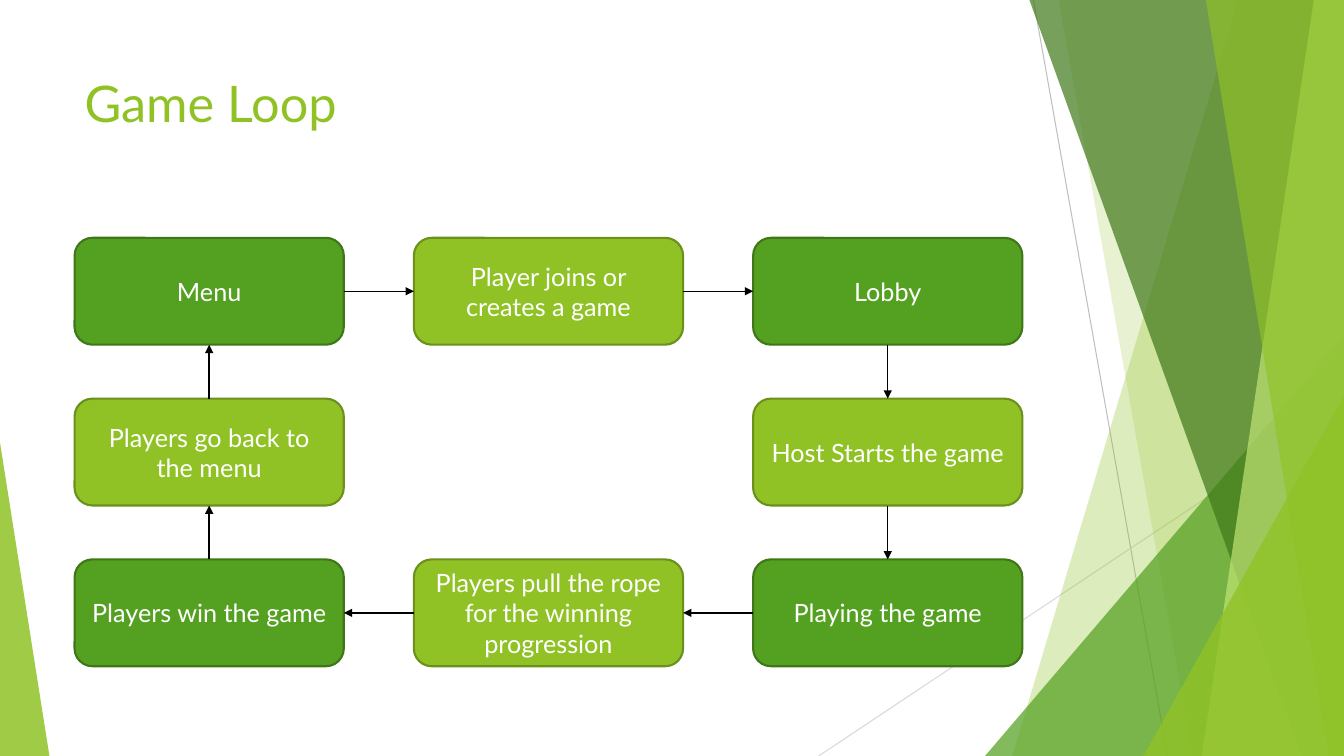
"""Build the Game Loop slide: eight steps joined in a clockwise ring."""
from lxml.etree import SubElement
from pptx import Presentation
from pptx.dml.color import RGBColor
from pptx.enum.shapes import MSO_CONNECTOR as LINK, MSO_SHAPE as SHAPE
from pptx.enum.text import MSO_ANCHOR as ANCHOR, PP_ALIGN as ALIGN
from pptx.oxml.ns import qn
from pptx.util import Inches, Pt

FONT = "Lato"
LIME, GREEN, WHITE, BLACK = "90C226", "54A021", "FFFFFF", "000000"
EDGES = {LIME: "6B901C", GREEN: "3E7618"}


def paint(fill, color):
    fill.solid()
    fill.fore_color.rgb = RGBColor.from_string(color)


def draw_line(start, end, color, width):
    line = shapes.add_connector(LINK.STRAIGHT, *start, *end)
    paint(line.line.fill, color)
    line.line.width = Pt(width)
    SubElement(line._element.spPr, qn("a:effectLst"))
    return line


deck = Presentation()
deck.slide_width, deck.slide_height = Inches(13.33), Inches(7.5)
W, H = deck.slide_width, deck.slide_height
slide = deck.slides.add_slide(deck.slide_layouts[6])
shapes = slide.shapes

draw_line((Inches(10.25), 0), (Inches(11.58), H), "BFBFBF", 0.75)
draw_line((W, Inches(4.03)), (Inches(8.12), H), "D9D9D9", 0.75)

# Bands: top x, bottom x. Wedges: left, width, height, apex position.
facets = [
    ((12.28, 10.04), LIME, 30),
    ((10.5, 11.83), LIME, 20),
    ((9.77, 3.56, 4.17, 1), GREEN, 72),
    ((10.21, 12.91), "3F7819", 70),
    ((13.03, 11.92), "C0E474", 70),
    ((11.96, 13.18), LIME, 65),
    ((11.34, 1.99, 3.57, 1), LIME, 80),
    ((0, 0.49, 3.11, 0), LIME, 85),
]
for extent, color, opacity in facets:
    if len(extent) == 2:
        top_x, bottom_x = map(Inches, extent)
        outline = shapes.build_freeform(top_x, 0)
        outline.add_line_segments([(W, 0), (W, H), (bottom_x, H)])
        facet = outline.convert_to_shape()
    else:
        left, width, height = map(Inches, extent[:3])
        facet = shapes.add_shape(SHAPE.ISOSCELES_TRIANGLE, left, H - height, width, height)
        facet.adjustments[0] = extent[3]
    paint(facet.fill, color)
    shade = facet._element.spPr.find(qn("a:solidFill")).find(qn("a:srgbClr"))
    SubElement(shade, qn("a:alpha"), val=str(opacity * 1000))
    facet.line.fill.background()
    facet.shadow.inherit = False

LEFT, TOP = Inches(0.74), Inches(2.36)
STEP_W, STEP_H = Inches(2.67), Inches(1.06)
COL, ROW = Inches(3.365), Inches(1.595)

title = shapes.add_textbox(LEFT, Inches(0.67), Inches(9.4), Inches(1.44)).text_frame
title.word_wrap = True
title.text = "Game Loop"
title_font = title.paragraphs[0].runs[0].font
title_font.name, title_font.size = FONT, Pt(36)
paint(title_font.fill, LIME)

loop = [
    ("Menu", 0, 0),
    ("Player joins or creates a game", 1, 0),
    ("Lobby", 2, 0),
    ("Host Starts the game", 2, 1),
    ("Playing the game", 2, 2),
    ("Players pull the rope for the winning progression", 1, 2),
    ("Players win the game", 0, 2),
    ("Players go back to the menu", 0, 1),
]
steps = []
for index, (label, col, row) in enumerate(loop):
    step = shapes.add_shape(SHAPE.ROUNDED_RECTANGLE, LEFT + col * COL, TOP + row * ROW, STEP_W, STEP_H)
    color = LIME if index % 2 else GREEN
    paint(step.fill, color)
    paint(step.line.fill, EDGES[color])
    step.line.width = Pt(1.5)
    step.shadow.inherit = False
    frame = step.text_frame
    frame.word_wrap = True
    frame.vertical_anchor = ANCHOR.MIDDLE
    frame.text = label
    frame.paragraphs[0].alignment = ALIGN.CENTER
    font = frame.paragraphs[0].runs[0].font
    font.name, font.size = FONT, Pt(18)
    paint(font.fill, WHITE)
    steps.append(step)

SIDES = {(1, 0): (3, 1), (0, 1): (2, 0), (-1, 0): (1, 3), (0, -1): (0, 2)}
for index, (_, col, row) in enumerate(loop):
    following = (index + 1) % len(loop)
    _, next_col, next_row = loop[following]
    leave, enter = SIDES[next_col - col, next_row - row]
    arrow = draw_line((0, 0), (0, 0), BLACK, 1)
    arrow.begin_connect(steps[index], leave)
    arrow.end_connect(steps[following], enter)
    SubElement(arrow.line._get_or_add_ln(), qn("a:tailEnd"), type="triangle")

deck.save("out.pptx")
